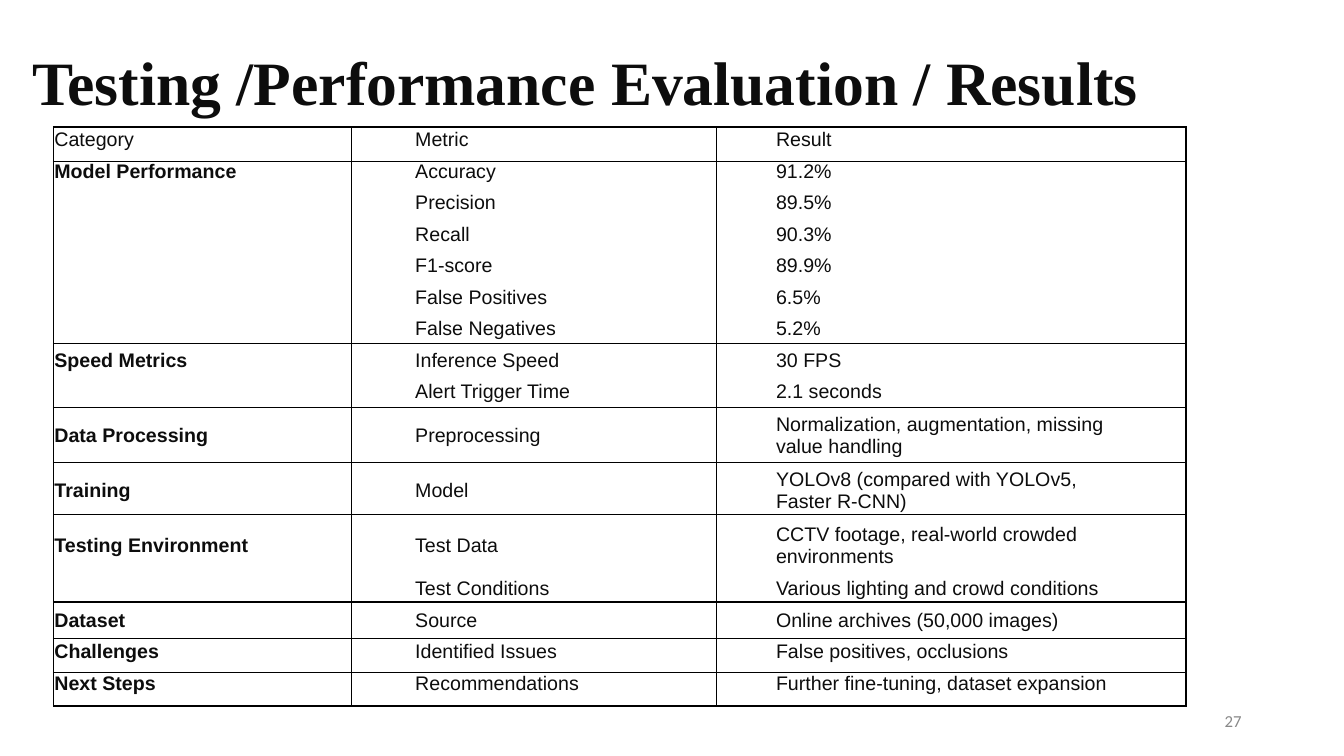
from dataclasses import dataclass
from itertools import product

from lxml import etree
from pptx import Presentation
from pptx import util as u
from pptx.dml.color import RGBColor
from pptx.enum import text
from pptx.oxml.ns import qn


@dataclass(frozen=True)
class Theme:
    ink: RGBColor = RGBColor(0x0D, 0x0D, 0x0D)
    muted: RGBColor = RGBColor(0x88, 0x88, 0x88)
    rule: str = "000000"
    rule_width: int = u.Pt(1)
    title_font: str = "Times New Roman"
    body_font: str = "Arial"
    number_font: str = "Calibri"
    title_size: int = 44
    body_size: int = 14
    number_size: int = 12
    plain_table: str = "{2D5ABB26-0587-4C30-8999-92F81FD0307C}"


THEME = Theme()

RESULTS = [
    ("Category", "Metric", "Result"),
    ("Model Performance", "Accuracy", "91.2%"),
    ("", "Precision", "89.5%"),
    ("", "Recall", "90.3%"),
    ("", "F1-score", "89.9%"),
    ("", "False Positives", "6.5%"),
    ("", "False Negatives", "5.2%"),
    ("Speed Metrics", "Inference Speed", "30 FPS"),
    ("", "Alert Trigger Time", "2.1 seconds"),
    ("Data Processing", "Preprocessing", "Normalization, augmentation, missing value handling"),
    ("Training", "Model", "YOLOv8 (compared with YOLOv5, Faster R-CNN)"),
    ("Testing Environment", "Test Data", "CCTV footage, real-world crowded environments"),
    ("", "Test Conditions", "Various lighting and crowd conditions"),
    ("Dataset", "Source", "Online archives (50,000 images)"),
    ("Challenges", "Identified Issues", "False positives, occlusions"),
    ("Next Steps", "Recommendations", "Further fine-tuning, dataset expansion"),
]
TWO_LINE_METRICS = {"Preprocessing", "Model", "Test Data"}


def style_text(paragraph, font_name, size, colour, bold=False):
    for run in paragraph.runs:
        run.font.name = font_name
        run.font.size = u.Pt(size)
        run.font.color.rgb = colour
        run.font.bold = bold


def add_label(slide, box, words, anchor, align):
    frame = slide.shapes.add_textbox(*map(u.Cm, box)).text_frame
    frame.word_wrap = True
    frame.vertical_anchor = anchor
    frame.text = words
    frame.paragraphs[0].alignment = align
    return frame.paragraphs[0]


def add_title(slide, box):
    title = add_label(slide, box, "Testing /Performance Evaluation / Results",
                      text.MSO_ANCHOR.BOTTOM, text.PP_ALIGN.LEFT)
    style_text(title, THEME.title_font, THEME.title_size, THEME.ink, bold=True)


def add_page_number(slide, box):
    number = add_label(slide, box, "27", text.MSO_ANCHOR.MIDDLE, text.PP_ALIGN.RIGHT)
    style_text(number, THEME.number_font, THEME.number_size, THEME.muted)


def add_plain_table(slide, left, top, widths, heights):
    box = map(u.Cm, (left, top, sum(widths), sum(heights)))
    table = slide.shapes.add_table(len(heights), len(widths), *box).table
    table.first_row = table.horz_banding = False
    table._tbl.tblPr.find(qn("a:tableStyleId")).text = THEME.plain_table
    for column, width in zip(table.columns, widths):
        column.width = u.Cm(width)
    for row, height in zip(table.rows, heights):
        row.height = u.Cm(height)
    for cell in table.iter_cells():
        cell.fill.background()
        cell.margin_left = cell.margin_right = u.Cm(0.2)
        cell.margin_top = cell.margin_bottom = u.Cm(0.1)
        end = cell.text_frame.paragraphs[0]._p.get_or_add_endParaRPr()
        end.set("sz", str(THEME.body_size * 100))
    return table


def add_results(slide, left, top, width):
    heights = [1.38 if metric in TWO_LINE_METRICS else 0.79 for _, metric, _ in RESULTS]
    columns = len(RESULTS[0])
    table = add_plain_table(slide, left, top, [width / columns] * columns, heights)
    for row, column in product(range(len(RESULTS)), range(columns)):
        if RESULTS[row][column]:
            cell = table.cell(row, column)
            cell.vertical_anchor = text.MSO_ANCHOR.MIDDLE
            cell.text_frame.text = RESULTS[row][column]
            style_text(cell.text_frame.paragraphs[0], THEME.body_font, THEME.body_size,
                       THEME.ink, bold=row > 0 and column == 0)


def add_group_rules(slide, left, top):
    widths = [7.5, 9.2, 11.84]
    heights = [0.86, 4.6, 1.6, 1.4, 1.3, 2.21, 0.92, 0.85, 0.85]
    for cell in add_plain_table(slide, left, top, widths, heights).iter_cells():
        properties = cell._tc.get_or_add_tcPr()
        for position, side in enumerate(("lnL", "lnR", "lnT", "lnB")):
            line = etree.Element(qn(f"a:{side}"), w=str(THEME.rule_width))
            fill = etree.SubElement(line, qn("a:solidFill"))
            etree.SubElement(fill, qn("a:srgbClr"), val=THEME.rule)
            properties.insert(position, line)


def main():
    deck = Presentation()
    deck.slide_width, deck.slide_height = u.Cm(33.87), u.Cm(19.05)
    slide = deck.slides.add_slide(deck.slide_layouts[6])
    add_page_number(slide, (23.92, 17.66, 7.62, 1.01))
    add_title(slide, (0.56, 0.97, 32.3, 2.13))
    add_results(slide, 1.17, 3.13, 27.28)
    add_group_rules(slide, 1.35, 3.2)
    deck.save("out.pptx")


if __name__ == "__main__":
    main()
